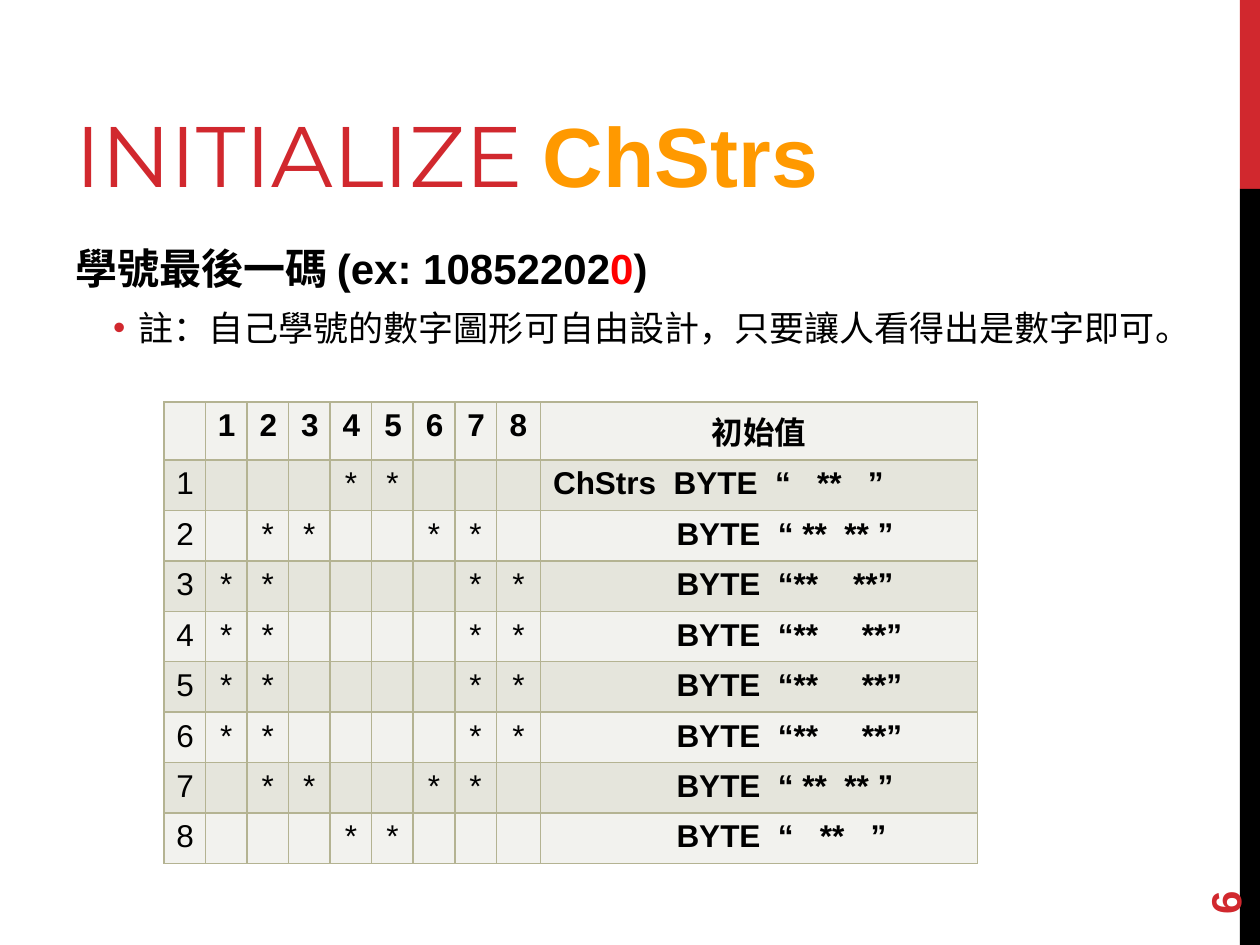
import dataclasses

import lxml.etree
import pptx
import pptx.dml.color
import pptx.enum.shapes
import pptx.enum.text
import pptx.oxml.ns
import pptx.util

Inches = pptx.util.Inches
Pt = pptx.util.Pt
Align = pptx.enum.text.PP_ALIGN
Anchor = pptx.enum.text.MSO_ANCHOR


@dataclasses.dataclass(frozen=True)
class Theme:
    red: str = "D1282E"
    orange: str = "FF9900"
    highlight: str = "FF0000"
    black: str = "000000"
    border: str = "B4B392"
    bands: tuple = ("F2F2EE", "E5E5DC")
    title_font: str = "Montserrat"
    font: str = "Arial"
    title_size: int = 49
    gap_size: int = 44
    name_size: int = 48
    heading_size: int = 24
    note_size: int = 20
    table_size: int = 18


def rgb(value):
    return pptx.dml.color.RGBColor.from_string(value)


def add_element(parent, tag, **attributes):
    element = lxml.etree.SubElement(parent, pptx.oxml.ns.qn(tag))
    for name, value in attributes.items():
        element.set(name, str(value))
    return element


class SlideBuilder:
    def __init__(self, slide, theme):
        self.slide = slide
        self.theme = theme

    def bar(self, top, height, color):
        bar = self.slide.shapes.add_shape(
            pptx.enum.shapes.MSO_SHAPE.RECTANGLE,
            Inches(9.84), Inches(top), Inches(0.16), Inches(height))
        bar.shadow.inherit = False
        bar.fill.solid()
        bar.fill.fore_color.rgb = rgb(color)
        bar.line.fill.background()

    def text_box(self, left, top, width, height, anchor=Anchor.TOP):
        box = self.slide.shapes.add_textbox(
            Inches(left), Inches(top), Inches(width), Inches(height))
        box.text_frame.word_wrap = True
        box.text_frame.vertical_anchor = anchor
        return box

    def span(self, para, text, size, color=None, bold=False, font=None):
        span = para.add_run()
        span.text = text
        span.font.size = Pt(size)
        span.font.bold = bold
        span.font.name = font or self.theme.font
        span.font.color.rgb = rgb(color or self.theme.black)

    def indent(self, para, left, first=0):
        properties = para._p.get_or_add_pPr()
        properties.set("marL", str(Inches(left)))
        properties.set("indent", str(Inches(first)))
        return properties

    def bullet(self, para, left, hang):
        properties = self.indent(para, left, -hang)
        color = add_element(properties, "a:buClr")
        add_element(color, "a:srgbClr", val=self.theme.red)
        add_element(properties, "a:buFont", typeface=self.theme.font)
        add_element(properties, "a:buChar", char="•")

    def table(self, left, top, widths, heights):
        frame = self.slide.shapes.add_table(
            len(heights), len(widths), Inches(left), Inches(top),
            Inches(sum(widths)), Inches(sum(heights)))
        table = frame.table
        for column, width in zip(table.columns, widths):
            column.width = Inches(width)
        for row, height in zip(table.rows, heights):
            row.height = Inches(height)
        return table

    def cell(self, cell, text, band, bold=False, align=Align.CENTER, indent=0):
        para = cell.text_frame.paragraphs[0]
        para.alignment = align
        para.font.size = Pt(self.theme.table_size)
        if indent:
            self.indent(para, indent)
        if text:
            self.span(para, text, self.theme.table_size, bold=bold)
        properties = cell._tc.get_or_add_tcPr()
        for side in ("a:lnL", "a:lnR", "a:lnT", "a:lnB"):
            line = add_element(properties, side, w=Pt(1))
            fill = add_element(line, "a:solidFill")
            add_element(fill, "a:srgbClr", val=self.theme.border)
        cell.fill.solid()
        cell.fill.fore_color.rgb = rgb(self.theme.bands[band])


def add_title(builder):
    theme = builder.theme
    box = builder.text_box(0.5, 0.17, 8.6, 1.5, Anchor.BOTTOM)
    para = box.text_frame.paragraphs[0]
    builder.span(para, "INITIALIZE", theme.title_size, theme.red, font=theme.title_font)
    builder.span(para, " ", theme.gap_size, theme.red, font=theme.title_font)
    builder.span(para, "ChStrs", theme.name_size, theme.orange, bold=True)


def add_body(builder):
    theme = builder.theme
    frame = builder.text_box(0.5, 1.92, 8.91, 4.78).text_frame
    heading = frame.paragraphs[0]
    heading.line_spacing = 0.9
    for text, color in (("學號最後一碼 (ex: 10852202", theme.black),
                        ("0", theme.highlight), (")", theme.black)):
        builder.span(heading, text, theme.heading_size, color, bold=True)
    note = frame.add_paragraph()
    note.line_spacing = 0.9
    note.space_before = Pt(10)
    builder.bullet(note, 0.5, 0.2)
    builder.span(note, "註：自己學號的數字圖形可自由設計，只要讓人看得出是數字即可。",
                 theme.note_size)


def add_pattern_table(builder):
    patterns = (
        ("   **   ", "ChStrs  BYTE  “   **   ”"),
        (" **  ** ", "BYTE  “ **  ** ”"),
        ("**    **", "BYTE  “**    **”"),
        ("**    **", "BYTE  “**     **”"),
        ("**    **", "BYTE  “**     **”"),
        ("**    **", "BYTE  “**     **”"),
        (" **  ** ", "BYTE  “ **  ** ”"),
        ("   **   ", "BYTE  “   **   ”"),
    )
    table = builder.table(1.3, 3.19, [0.33] * 8 + [0.35, 3.47], [0.46] + [0.4] * 8)
    headers = ["", *"12345678", "初始值"]
    for column, header in enumerate(headers):
        builder.cell(table.cell(0, column), header, 0, bold=True)
    for row, (pattern, code) in enumerate(patterns, start=1):
        band = row % 2
        for column, mark in enumerate([str(row), *pattern]):
            builder.cell(table.cell(row, column), mark.strip(), band)
        builder.cell(table.cell(row, 9), code, band, bold=True, align=Align.LEFT,
                     indent=0 if row == 1 else 0.98)


def add_page_number(builder):
    theme = builder.theme
    box = builder.text_box(9, 6.44, 1.44, 0.4, Anchor.MIDDLE)
    box.rotation = 270
    builder.span(box.text_frame.paragraphs[0], "6", theme.heading_size,
                 theme.red, bold=True)


def main():
    deck = pptx.Presentation()
    deck.slide_width = Inches(10)
    deck.slide_height = Inches(7.5)
    theme = Theme()
    builder = SlideBuilder(deck.slides.add_slide(deck.slide_layouts[6]), theme)
    builder.bar(0, 1.5, theme.red)
    builder.bar(1.5, 6, theme.black)
    add_title(builder)
    add_body(builder)
    add_page_number(builder)
    add_pattern_table(builder)
    deck.save("out.pptx")


if __name__ == "__main__":
    main()
